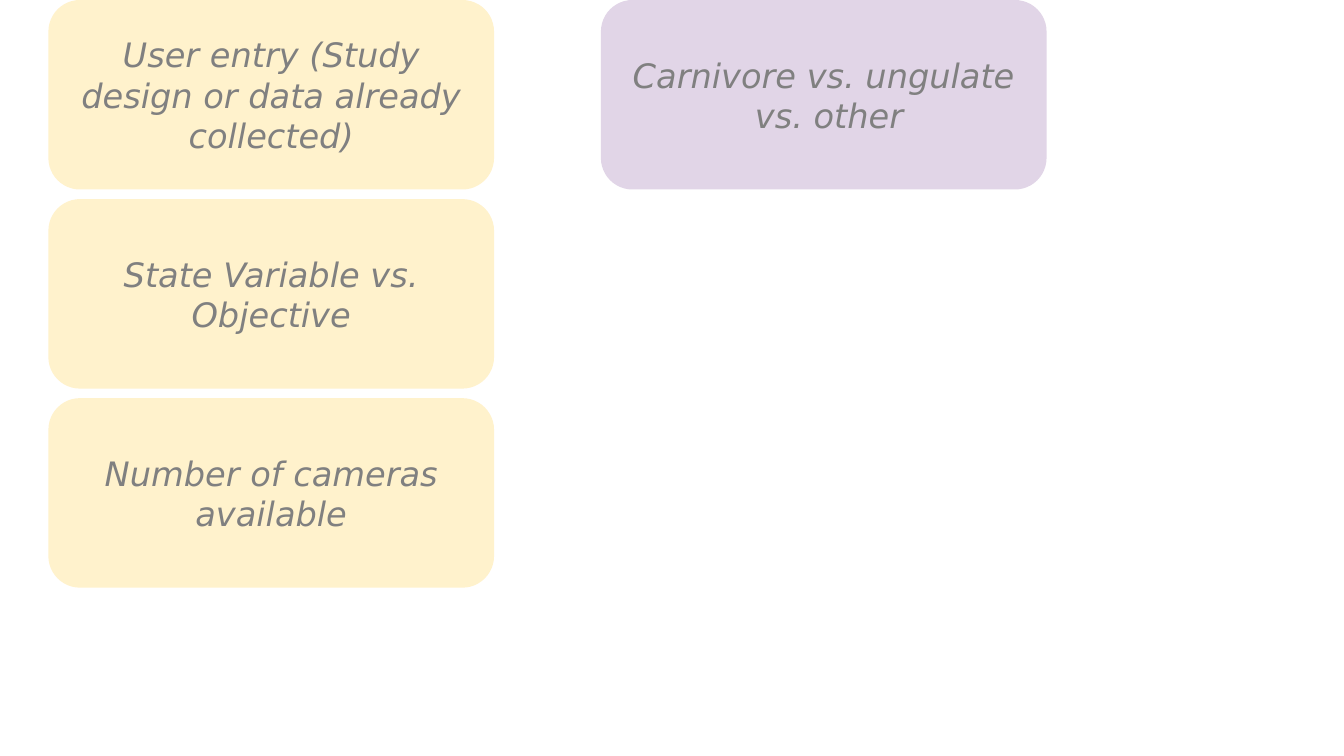
from pptx import Presentation
from pptx import util as u
from pptx.dml.color import RGBColor
from pptx.enum import shapes, text

CREAM = RGBColor(0xFF, 0xF2, 0xCC)
LILAC = RGBColor(0xE1, 0xD5, 0xE7)
GREY = RGBColor(0x80, 0x80, 0x80)
FONT = "DejaVu Sans"

# Grid of cards, in inches
LEFT, WIDTH, HEIGHT = 0.48, 4.42, 1.88
COL_STEP, ROW_STEP = 5.48, 3.95 / 2
INSET = 0.12

# Column, row, fill and lines of each card
CARDS = [
    (1, 0, LILAC, ["Carnivore vs. ungulate", " vs. other"]),
    (0, 0, CREAM, ["User entry (Study design or data already collected)"]),
    (0, 1, CREAM, ["State Variable vs. Objective"]),
    (0, 2, CREAM, ["Number of cameras available"]),
]


def add_line(para, line):
    para.alignment = text.PP_ALIGN.CENTER
    run = para.add_run()
    run.text = line
    font = run.font
    font.name, font.size, font.italic = FONT, u.Pt(24), True
    font.color.rgb = GREY


def add_card(slide, col, row, fill, lines):
    card = slide.shapes.add_shape(
        shapes.MSO_SHAPE.ROUNDED_RECTANGLE,
        u.Inches(LEFT + col * COL_STEP), u.Inches(row * ROW_STEP),
        u.Inches(WIDTH), u.Inches(HEIGHT))
    card.shadow.inherit = False
    card.fill.solid()
    card.fill.fore_color.rgb = fill
    card.line.fill.background()

    # Card text
    frame = card.text_frame
    frame.word_wrap = True
    frame.vertical_anchor = text.MSO_ANCHOR.MIDDLE
    frame.margin_left = frame.margin_right = u.Inches(INSET)
    frame.margin_top = frame.margin_bottom = u.Inches(INSET)
    for i, line in enumerate(lines):
        add_line(frame.add_paragraph() if i else frame.paragraphs[0], line)


def main():
    deck = Presentation()
    deck.slide_width, deck.slide_height = u.Inches(13.33), u.Inches(7.5)
    slide = deck.slides.add_slide(deck.slide_layouts[6])
    for card in CARDS:
        add_card(slide, *card)
    deck.save("out.pptx")


if __name__ == "__main__":
    main()
